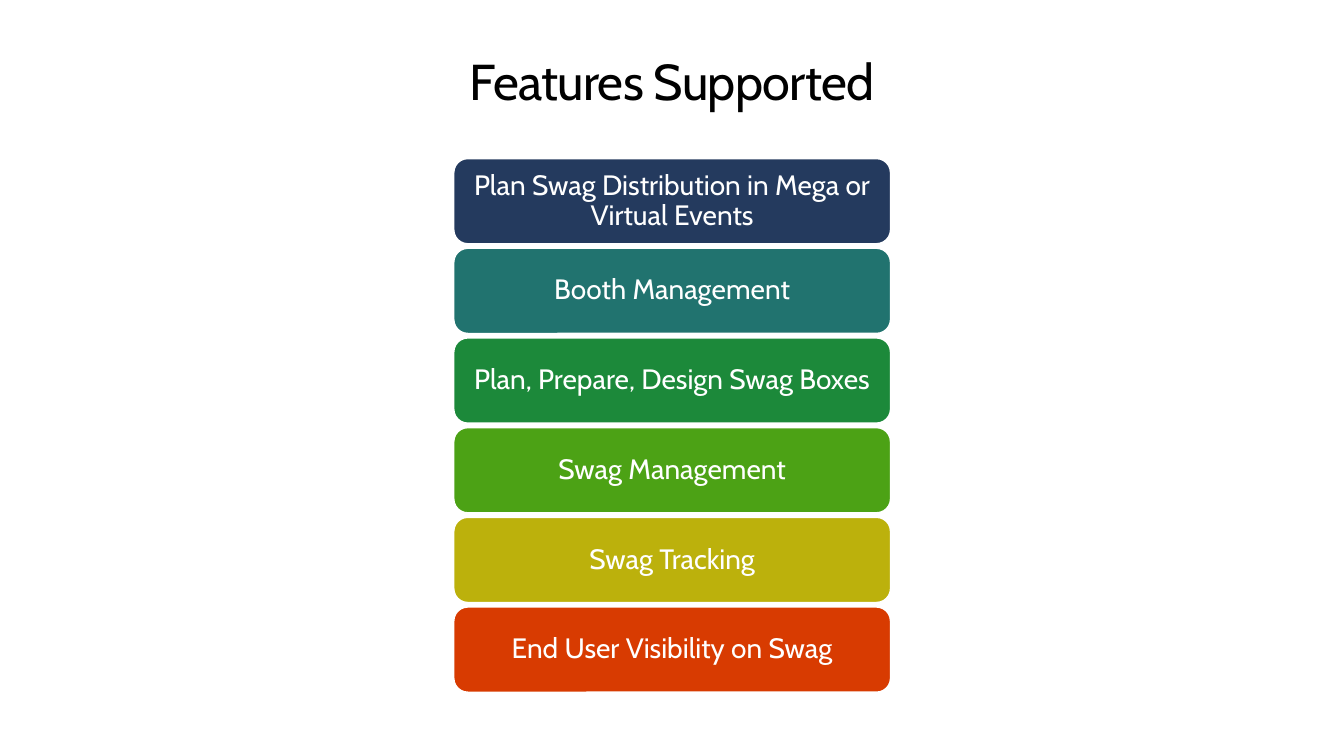
from pptx import Presentation
from pptx import util as u
from pptx.dml import color
from pptx.enum import shapes, text

FONT = "Cabin"
FEATURES = [
    ("Plan Swag Distribution in Mega or Virtual Events", "243A5E"),
    ("Booth Management", "21736F"),
    ("Plan, Prepare, Design Swag Boxes", "1C893A"),
    ("Swag Management", "4CA215"),
    ("Swag Tracking", "BCB10C"),
    ("End User Visibility on Swag", "D83B01"),
]
STACK_LEFT, STACK_TOP = 11.43, 3.99
BAR_WIDTH, BAR_HEIGHT, BAR_PITCH = 11.02, 2.16, 2.26


def rgb(hex_string):
    return color.RGBColor.from_string(hex_string)


def write(frame, words, size, hex_string, inset_x=0, inset_y=0):
    """Put one centred run into a text frame and return the run."""
    frame.word_wrap = True
    frame.margin_left = frame.margin_right = u.Cm(inset_x)
    frame.margin_top = frame.margin_bottom = u.Cm(inset_y)
    line = frame.paragraphs[0]
    line.alignment = text.PP_ALIGN.CENTER
    run = line.add_run()
    run.text = words
    run.font.name = FONT
    run.font.size = u.Pt(size)
    run.font.color.rgb = rgb(hex_string)
    return run


def add_heading(slide, words):
    heading = slide.shapes.add_textbox(u.Cm(1.63), u.Cm(1.27), u.Cm(30.61), u.Cm(1.55))
    run = write(heading.text_frame, words, 36, "000000")
    # Slightly tightened letter spacing, in hundredths of a point
    run.font._element.set("spc", "-50")


def add_feature(slide, top, words, fill):
    bar = slide.shapes.add_shape(
        shapes.MSO_SHAPE.ROUNDED_RECTANGLE,
        u.Cm(STACK_LEFT), u.Cm(top), u.Cm(BAR_WIDTH), u.Cm(BAR_HEIGHT))
    bar.shadow.inherit = False
    bar.fill.solid()
    bar.fill.fore_color.rgb = rgb(fill)
    bar.line.color.rgb = rgb("FFFFFF")
    bar.line.width = u.Pt(1.35)
    frame = bar.text_frame
    frame.vertical_anchor = text.MSO_ANCHOR.MIDDLE
    write(frame, words, 20, "FFFFFF", inset_x=0.2, inset_y=0.1)
    frame.paragraphs[0].line_spacing = 0.9


def main():
    deck = Presentation()
    deck.slide_width, deck.slide_height = u.Cm(33.87), u.Cm(19.05)
    slide = deck.slides.add_slide(deck.slide_layouts[6])

    # Heading
    add_heading(slide, "Features Supported")

    # Stack of feature bars
    for row, (words, fill) in enumerate(FEATURES):
        add_feature(slide, STACK_TOP + row * BAR_PITCH, words, fill)

    deck.save("out.pptx")


if __name__ == "__main__":
    main()
